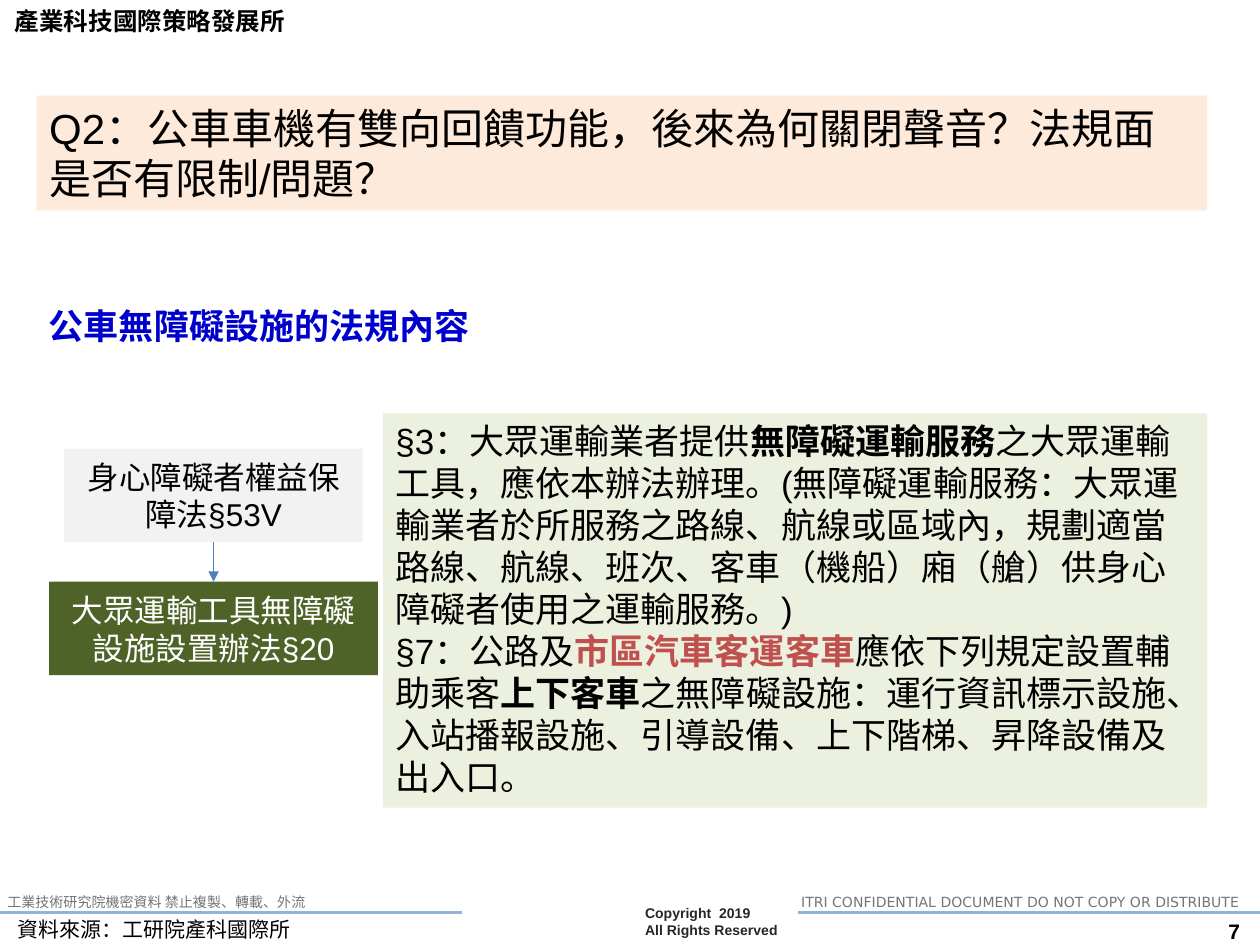
from pptx import Presentation
from pptx.dml.color import RGBColor
from pptx.enum import shapes, text
from pptx.oxml.ns import qn
from pptx.util import Pt
from lxml import etree

BLACK = RGBColor(0x00, 0x00, 0x00)
WHITE = RGBColor(0xFF, 0xFF, 0xFF)
CHARCOAL = RGBColor(0x26, 0x26, 0x26)
GRAY = RGBColor(0x74, 0x75, 0x77)
HEADING_BLUE = RGBColor(0x00, 0x00, 0xCC)
RULE_BLUE = RGBColor(0x95, 0xB3, 0xD7)
ARROW_BLUE = RGBColor(0x4F, 0x81, 0xBD)
PEACH = RGBColor(0xFD, 0xEA, 0xDA)
PALE_GRAY = RGBColor(0xF2, 0xF2, 0xF2)
DARK_GREEN = RGBColor(0x4F, 0x62, 0x28)
PALE_GREEN = RGBColor(0xEB, 0xF1, 0xDE)
RED = RGBColor(0xC0, 0x50, 0x4D)

SLIDE_WIDTH, SLIDE_HEIGHT = 720, 540


def style_paragraph(paragraph, size, color=BLACK, bold=False, name="Arial",
                    align=text.PP_ALIGN.LEFT):
    paragraph.alignment = align
    font = paragraph.font
    font.size, font.bold, font.name = Pt(size), bold, name
    font.color.rgb = color


def add_label(slide, box, lines, size, wrap=True, inset=None,
              anchor=text.MSO_ANCHOR.TOP, **style):
    frame = slide.shapes.add_textbox(*map(Pt, box)).text_frame
    frame.word_wrap = wrap
    frame.vertical_anchor = anchor
    if not wrap:
        frame.auto_size = text.MSO_AUTO_SIZE.SHAPE_TO_FIT_TEXT
    if inset is not None:
        frame.margin_left = frame.margin_right = Pt(inset)
        frame.margin_top = frame.margin_bottom = Pt(inset)
    frame.text = lines
    for paragraph in frame.paragraphs:
        style_paragraph(paragraph, size, **style)


def add_panel(slide, box, fill, anchor):
    panel = slide.shapes.add_shape(shapes.MSO_SHAPE.RECTANGLE, *map(Pt, box))
    panel.shadow.inherit = False
    panel.fill.solid()
    panel.fill.fore_color.rgb = fill
    panel.line.fill.background()
    panel.text_frame.word_wrap = True
    panel.text_frame.vertical_anchor = anchor
    return panel


def add_line(slide, start, end, color, width):
    line = slide.shapes.add_connector(shapes.MSO_CONNECTOR.STRAIGHT,
                                      *map(Pt, start + end))
    line.line.color.rgb = color
    line.line.width = Pt(width)
    etree.SubElement(line._element.spPr, qn("a:effectLst"))
    return line


def add_title(slide, box):
    title = slide.shapes.title
    title.left, title.top, title.width, title.height = map(Pt, box)
    title.fill.solid()
    title.fill.fore_color.rgb = PEACH
    frame = title.text_frame
    frame.text = "Q2：公車車機有雙向回饋功能，後來為何關閉聲音？法規面是否有限制/問題？"
    frame.word_wrap = True
    frame.auto_size = text.MSO_AUTO_SIZE.NONE
    frame.vertical_anchor = text.MSO_ANCHOR.TOP
    style_paragraph(frame.paragraphs[0], 24)


def add_law_chain(slide, box):
    """Parent law above its regulation, joined by an arrow."""
    left, top, width, height = box
    box_height, law_width = 53.5, 170.6
    law_left = left + (width - law_width) / 2
    regulation_top = top + height - box_height
    panels = []
    for wording, place, fill, color in (
        ("身心障礙者權益保障法§53V",
         (law_left, top, law_width, box_height), PALE_GRAY, BLACK),
        ("大眾運輸工具無障礙設施設置辦法§20",
         (left, regulation_top, width, box_height), DARK_GREEN, WHITE),
    ):
        panel = add_panel(slide, place, fill, text.MSO_ANCHOR.MIDDLE)
        panel.text_frame.text = wording
        style_paragraph(panel.text_frame.paragraphs[0], 18, color,
                        align=text.PP_ALIGN.CENTER)
        panels.append(panel)

    center = left + width / 2
    arrow = add_line(slide, (center, top + box_height),
                     (center, regulation_top), ARROW_BLUE, 0.5)
    arrow.begin_connect(panels[0], 2)
    arrow.end_connect(panels[1], 0)
    etree.SubElement(arrow.line._get_or_add_ln(), qn("a:tailEnd"), type="triangle")


def add_articles(slide, box):
    # Each run: wording, then its emphasis colour (None for plain text)
    articles = (
        (("§3：大眾運輸業者提供", None), ("無障礙運輸服務", BLACK),
         ("之大眾運輸工具，應依本辦法辦理。(無障礙運輸服務：大眾運輸業者於所服務之路線、"
          "航線或區域內，規劃適當路線、航線、班次、客車（機船）廂（艙）供身心障礙者使用之"
          "運輸服務。)", None)),
        (("§7：公路及", None), ("市區汽車客運客車", RED),
         ("應依下列規定設置輔助乘客", None), ("上下客車", BLACK),
         ("之無障礙設施：運行資訊標示設施、入站播報設施、引導設備、上下階梯、"
          "昇降設備及出入口。", None)),
    )
    frame = add_panel(slide, box, PALE_GREEN, text.MSO_ANCHOR.TOP).text_frame
    for index, runs in enumerate(articles):
        paragraph = frame.add_paragraph() if index else frame.paragraphs[0]
        style_paragraph(paragraph, 20)
        for wording, emphasis in runs:
            run = paragraph.add_run()
            run.text = wording
            if emphasis is not None:
                run.font.bold = True
                run.font.color.rgb = emphasis


def add_footer(slide, box):
    left, top, width, height = box
    rule_top, rule_width = top + 14.4, 264.3
    # Rules on both sides of the copyright notice
    for start in (left, left + width - rule_width + 0.5):
        add_line(slide, (start, rule_top), (start + rule_width, rule_top),
                 RULE_BLUE, 1.5)
    add_label(slide, (368.6, top + 10.1, 82, 16.6),
              "Copyright  2019\nAll Rights Reserved", 8,
              inset=0, color=CHARCOAL, bold=True)
    # Confidentiality notices
    for start, notice_width, wording in (
        (left - 2.9, 198.7, "工業技術研究院機密資料 禁止複製、轉載、外流"),
        (450.7, 278, "ITRI CONFIDENTIAL DOCUMENT DO NOT COPY OR DISTRIBUTE"),
    ):
        add_label(slide, (start, top, notice_width, 17), wording, 8,
                  color=GRAY, name="DejaVu Sans")
    # Source and page number
    add_label(slide, (left + 2.9, top + 16.6, 260.6, 14.4),
              "資料來源：工研院產科國際所", 12, anchor=text.MSO_ANCHOR.MIDDLE)
    add_label(slide, (694.8, rule_top, 31, 21.6), "7", 12, bold=True)


def main():
    presentation = Presentation()
    presentation.slide_width = Pt(SLIDE_WIDTH)
    presentation.slide_height = Pt(SLIDE_HEIGHT)
    slide = presentation.slides.add_slide(presentation.slide_layouts[5])

    # Department name and headings
    add_label(slide, (1.4, 0, 170, 24.5), "產業科技國際策略發展所", 14,
              wrap=False, bold=True)
    add_title(slide, (20.9, 54.7, 668.9, 65.5))
    add_label(slide, (20.9, 170.6, 257, 31.7), "公車無障礙設施的法規內容", 20,
              wrap=False, color=HEADING_BLUE, bold=True)

    # Legal basis and its articles
    add_law_chain(slide, (28.1, 256.3, 187.9, 129.6))
    add_articles(slide, (218.9, 236.2, 470.9, 225.4))

    add_footer(slide, (0, 506.9, SLIDE_WIDTH, 33.1))
    presentation.save("out.pptx")


if __name__ == "__main__":
    main()
